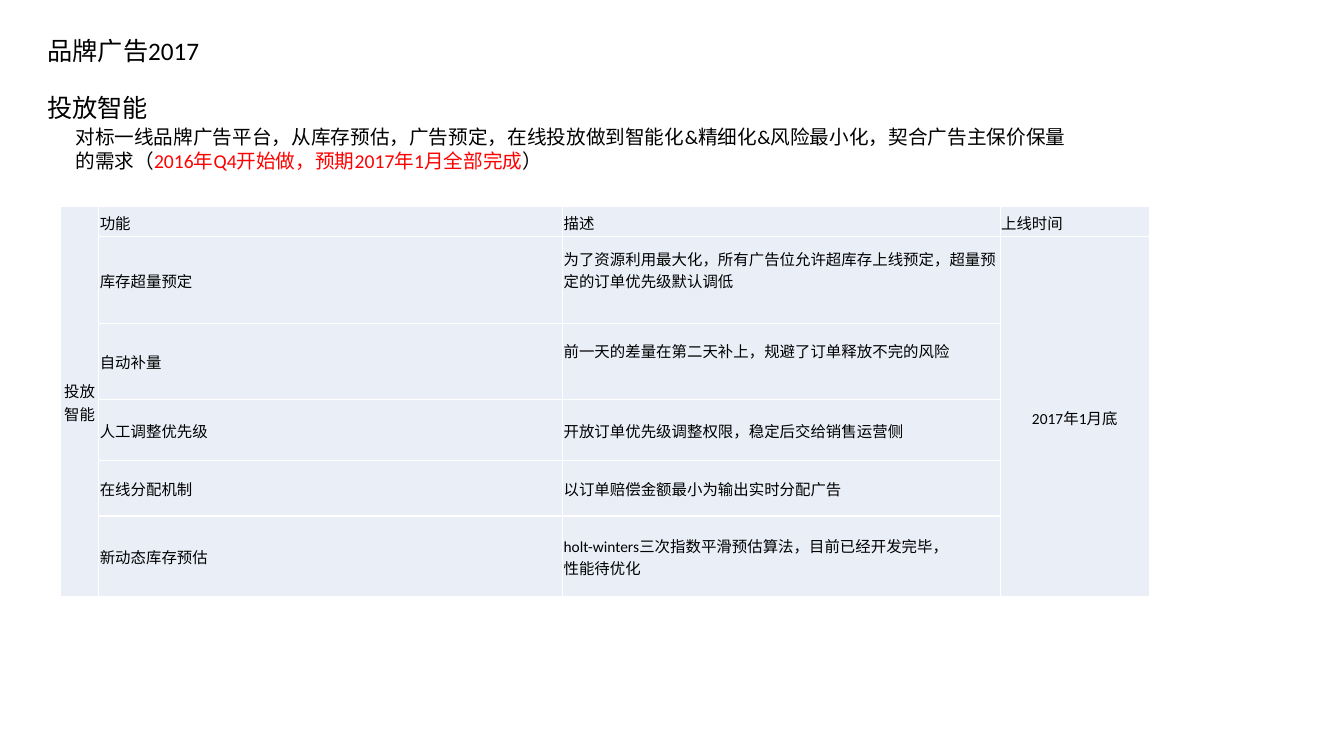
from dataclasses import dataclass

from lxml.etree import SubElement
from pptx import Presentation
from pptx.dml.color import RGBColor
from pptx.enum.text import MSO_ANCHOR, MSO_AUTO_SIZE, PP_ALIGN
from pptx.oxml.ns import qn
from pptx.util import Inches, Pt

FONT = "Calibri"
BLACK, RED, WHITE, PALE_BLUE = "000000", "FF0000", "FFFFFF", "EAEFF7"
COLUMN_WIDTHS = [0.38, 4.6, 4.34, 1.48]
HEADER_HEIGHT = 0.3
HEADERS = ["投放智能", "功能", "描述", "上线时间"]
LAUNCH_TIME = "2017年1月底"


@dataclass
class Feature:
    name: str
    description: str
    height: float
    bottom_margin: float = 0


@dataclass
class TextBlock:
    left: float
    top: float
    width: float
    height: float
    size: int
    colored_texts: list[tuple[str, str]]


FEATURES = [
    Feature("库存超量预定", "为了资源利用最大化，所有广告位允许超库存上线预定，超量预定的订单优先级默认调低", 0.86, 0.22),
    Feature("自动补量", "前一天的差量在第二天补上，规避了订单释放不完的风险", 0.75, 0.22),
    Feature("人工调整优先级", "开放订单优先级调整权限，稳定后交给销售运营侧", 0.61),
    Feature("在线分配机制", "以订单赔偿金额最小为输出实时分配广告", 0.55),
    Feature("新动态库存预估", "holt-winters三次指数平滑预估算法，目前已经开发完毕，\v性能待优化", 0.8),
]

TITLE = TextBlock(0.37, 0.3, 5.16, 0.4, 18, [("品牌广告2017", BLACK)])
TEXT_BLOCKS = [
    TextBlock(0.37, 0.87, 3.66, 0.4, 18, [("投放智能", BLACK)]),
    TextBlock(0.65, 1.19, 10.2, 0.57, 14, [
        ("对标一线品牌广告平台，从库存预估，广告预定，在线投放做到智能化&精细化&风险最小化，契合广告主保价保量的需求（", BLACK),
        ("2016年Q4开始做，预期2017年1月全部完成", RED),
        ("）", BLACK),
    ]),
]


def color(value: str) -> RGBColor:
    return RGBColor.from_string(value)


def format_run(run, size: int, font_color: str = BLACK) -> None:
    run.font.name = FONT
    run.font.size = Pt(size)
    run.font.color.rgb = color(font_color)


def fill_text_block(shape, block: TextBlock) -> None:
    shape.left, shape.top = Inches(block.left), Inches(block.top)
    shape.width, shape.height = Inches(block.width), Inches(block.height)
    text_frame = shape.text_frame
    text_frame.word_wrap = True
    text_frame.auto_size = MSO_AUTO_SIZE.NONE
    text_frame.vertical_anchor = MSO_ANCHOR.TOP
    paragraph = text_frame.paragraphs[0]
    paragraph.alignment = PP_ALIGN.LEFT
    for text, font_color in block.colored_texts:
        run = paragraph.add_run()
        run.text = text
        format_run(run, block.size, font_color)


def style_cell(cell) -> None:
    properties = cell._tc.get_or_add_tcPr()
    for side in ("a:lnL", "a:lnR", "a:lnT", "a:lnB"):
        line = SubElement(properties, qn(side), w=str(Pt(1)))
        SubElement(SubElement(line, qn("a:solidFill")), qn("a:srgbClr"), val=WHITE)
    cell.fill.solid()
    cell.fill.fore_color.rgb = color(PALE_BLUE)


def write_cell(cell, text: str, alignment=PP_ALIGN.LEFT, bottom_margin: float = 0) -> None:
    cell.margin_left = cell.margin_right = cell.margin_top = Inches(0.01)
    cell.margin_bottom = Inches(bottom_margin)
    cell.vertical_anchor = MSO_ANCHOR.MIDDLE
    cell.text_frame.text = text
    paragraph = cell.text_frame.paragraphs[0]
    paragraph.alignment = alignment
    for run in paragraph.runs:
        format_run(run, 11)


def add_feature_table(slide) -> None:
    heights = [HEADER_HEIGHT] + [feature.height for feature in FEATURES]
    table = slide.shapes.add_table(
        len(heights), len(COLUMN_WIDTHS), Inches(0.6), Inches(2.05),
        Inches(sum(COLUMN_WIDTHS)), Inches(sum(heights)),
    ).table
    table.first_row = table.horz_banding = False
    for column, width in zip(table.columns, COLUMN_WIDTHS):
        column.width = Inches(width)
    for row, height in zip(table.rows, heights):
        row.height = Inches(height)
    for cell in table.iter_cells():
        style_cell(cell)

    # Merged group and launch time cells
    last_row = len(FEATURES)
    table.cell(0, 0).merge(table.cell(last_row, 0))
    table.cell(1, 3).merge(table.cell(last_row, 3))

    # Cell text
    for index, header in enumerate(HEADERS):
        write_cell(table.cell(0, index), header, PP_ALIGN.LEFT if index else PP_ALIGN.CENTER)
    for index, feature in enumerate(FEATURES, start=1):
        write_cell(table.cell(index, 1), feature.name)
        write_cell(table.cell(index, 2), feature.description, bottom_margin=feature.bottom_margin)
    write_cell(table.cell(1, 3), LAUNCH_TIME, PP_ALIGN.CENTER)


def main() -> None:
    presentation = Presentation()
    presentation.slide_width = Inches(13.33)
    presentation.slide_height = Inches(7.5)
    title_only = presentation.slide_layouts[5]
    slide = presentation.slides.add_slide(title_only)

    # Headings and introduction
    fill_text_block(slide.shapes.title, TITLE)
    for block in TEXT_BLOCKS:
        text_box = slide.shapes.add_textbox(0, 0, 0, 0)
        fill_text_block(text_box, block)

    # Feature table
    add_feature_table(slide)
    presentation.save("out.pptx")


if __name__ == "__main__":
    main()
